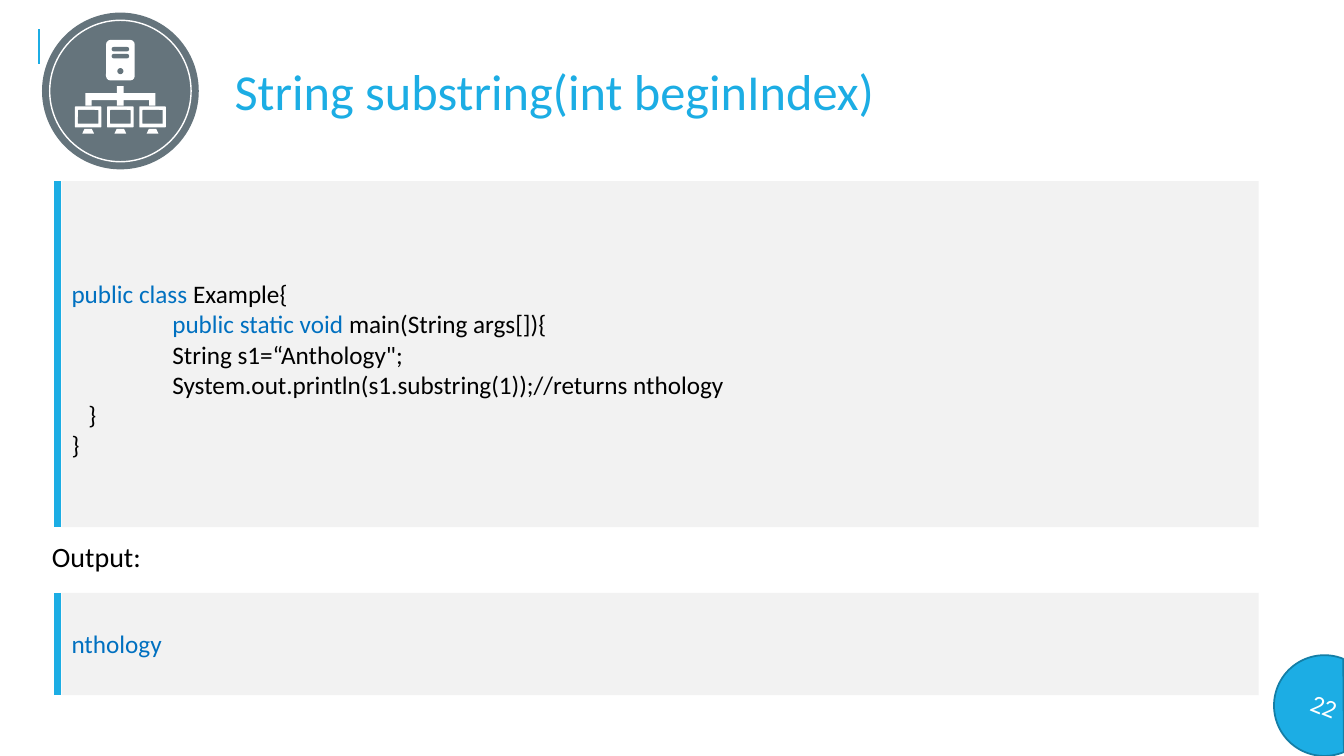
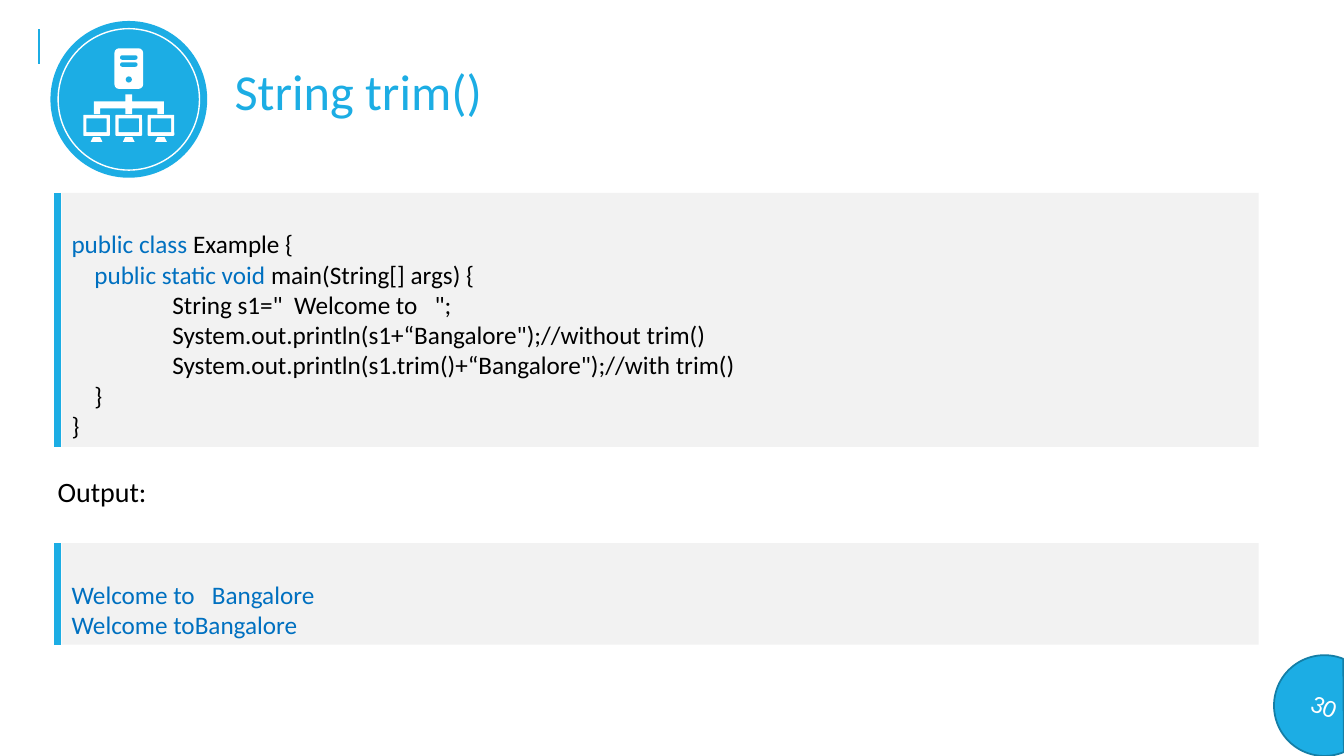
from pptx import Presentation
from pptx import util as u
from pptx.dml.color import RGBColor
from pptx.enum import shapes, text
from pptx.oxml.ns import qn
from lxml import etree

Pt = u.Pt
FONT = "Calibri"
COLORS = {"accent": "1CADE4", "edge": "147EA6", "keyword": "0070C0", "panel": "F2F2F2",
          "gray": "65747C", "white": "FFFFFF", "black": "000000"}
PANEL_LEFT, PANEL_WIDTH, BAR_X = 44, 855, 41
LINE_HEIGHT = 21.97

# Content: panel lines are (indent, keywords, plain code)
SLIDES = [
    {"title": "String substring(int beginIndex)", "number": "22",
     "icon": (30, 9, "gray"), "output_label": (30, 381.5),
     "panels": [
         {"top": 129.5, "height": 247, "lines_above": 3, "lines": [
             (0, "public class ", "Example{"),
             (72, "public static void ", "main(String args[]){"),
             (72, "", "String s1=“Anthology\";"),
             (72, "", "System.out.println(s1.substring(1));//returns nthology"),
             (12, "", "}"),
             (0, "", "}")]},
         {"top": 423.5, "height": 73, "lines_above": 1, "lines": [
             (0, "nthology", "")]}]},
    {"title": "String trim()", "number": "30",
     "icon": (36, 15, "accent"), "output_label": (34, 335.5),
     "panels": [
         {"top": 137.75, "height": 181.5, "lines_above": 1, "lines": [
             (0, "public class ", "Example {"),
             (16.3, "public static void ", "main(String[] args) {"),
             (72, "", "String s1=\"  Welcome to   \";"),
             (72, "", "System.out.println(s1+“Bangalore\");//without trim()"),
             (72, "", "System.out.println(s1.trim()+“Bangalore\");//with trim()"),
             (16.3, "", "}"),
             (0, "", "}")]},
         {"top": 388, "height": 72.5, "lines_above": 1, "lines": [
             (0, "Welcome to   Bangalore", ""),
             (0, "Welcome toBangalore", "")]}]},
]


def rgb(name):
    return RGBColor.from_string(COLORS[name])


def style_run(run, size, color):
    run.font.name, run.font.size = FONT, Pt(size)
    run.font.color.rgb = rgb(color)


def paint(shape, fill, line=None, weight=1):
    shape.shadow.inherit = False
    shape.fill.solid()
    shape.fill.fore_color.rgb = rgb(fill)
    if line:
        shape.line.color.rgb = rgb(line)
        shape.line.width = Pt(weight)
    else:
        shape.line.fill.background()
    return shape


def add_shape(slide, kind, left, top, width, height, fill, line=None, weight=1):
    shape = slide.shapes.add_shape(kind, Pt(left), Pt(top), Pt(width), Pt(height))
    return paint(shape, fill, line, weight)


def add_polygon(slide, points):
    builder = slide.shapes.build_freeform(Pt(points[0][0]), Pt(points[0][1]))
    builder.add_line_segments([(Pt(x), Pt(y)) for x, y in points[1:]], close=True)
    paint(builder.convert_to_shape(), "white")


def add_vertical_line(slide, x, top, bottom, weight):
    line = slide.shapes.add_connector(
        shapes.MSO_CONNECTOR.STRAIGHT, Pt(x), Pt(top), Pt(x), Pt(bottom))
    line.line.color.rgb = rgb("accent")
    line.line.width = Pt(weight)
    etree.SubElement(line._element.spPr, qn("a:effectLst"))


def add_label(slide, content, left, top, width, height, size, color):
    frame = slide.shapes.add_textbox(Pt(left), Pt(top), Pt(width), Pt(height)).text_frame
    frame.word_wrap = True
    frame.text = content
    style_run(frame.paragraphs[0].runs[0], size, color)


def add_panel(slide, top, height, lines_above, lines):
    panel = add_shape(slide, shapes.MSO_SHAPE.RECTANGLE,
                      PANEL_LEFT, top, PANEL_WIDTH, height, "panel")
    frame = panel.text_frame
    frame.word_wrap = True
    frame.vertical_anchor = text.MSO_ANCHOR.TOP
    frame.margin_top = Pt(3.6 + lines_above * LINE_HEIGHT)
    for index, (indent, keywords, code) in enumerate(lines):
        paragraph = frame.paragraphs[0] if index == 0 else frame.add_paragraph()
        paragraph.alignment = text.PP_ALIGN.LEFT
        paragraph._p.get_or_add_pPr().set("marL", str(Pt(indent)))
        for part, color in ((keywords, "keyword"), (code, "black")):
            if part:
                run = paragraph.add_run()
                run.text = part
                style_run(run, 18, color)
    add_vertical_line(slide, BAR_X, top, top + height, 4.5)


def add_network_icon(slide, left, top, color):
    oval, rounded = shapes.MSO_SHAPE.OVAL, shapes.MSO_SHAPE.ROUNDED_RECTANGLE
    center = left + 56
    add_shape(slide, oval, left, top, 112, 112, color)
    add_shape(slide, oval, left + 5.5, top + 5.5, 101, 101, color, "white")

    # Parts centred on an axis: kind, y, width, height, colour, corner
    def centered(axis, kind, y, width, height, fill, corner=None):
        shape = add_shape(slide, kind, axis - width / 2, top + y, width, height, fill)
        if corner is not None:
            shape.adjustments[0] = corner

    # Server
    centered(center, rounded, 19.5, 20.5, 29, "white", 0.16)
    for y in (24.5, 29.5):
        centered(center, rounded, y, 12.5, 3.2, color, 0.5)
    centered(center, oval, 39.6, 4.4, 4.4, color)

    # Cable tree, mirrored about the centre
    half = [(2.4, 52.5), (2.4, 57.5), (25, 57.5), (25, 66.5),
            (20.5, 66.5), (20.5, 62.5), (2.4, 62.5), (2.4, 66.5)]
    add_polygon(slide, [(center + x, top + y) for x, y in half]
                + [(center - x, top + y) for x, y in reversed(half)])

    # Monitors
    for step in (-1, 0, 1):
        axis = center + step * 23
        centered(axis, rounded, 67, 19, 15, "white", 0.04)
        centered(axis, rounded, 69.6, 14.5, 9.8, color, 0.04)
        add_polygon(slide, [(axis + x, top + y) for x, y in
                            ((-2.6, 83), (2.6, 83), (4.2, 86.4), (-4.2, 86.4))])


def add_page_number(slide, number):
    badge = add_shape(slide, shapes.MSO_SHAPE.CHORD, 910, 468, 72, 72, "accent", "edge", 1.25)
    badge.adjustments[0], badge.adjustments[1] = 27, 161.87
    badge.rotation = 22.2
    frame = badge.text_frame
    frame.text = number
    frame.vertical_anchor = text.MSO_ANCHOR.MIDDLE
    frame.paragraphs[0].alignment = text.PP_ALIGN.CENTER
    style_run(frame.paragraphs[0].runs[0], 18, "white")


def main():
    presentation = Presentation()
    presentation.slide_width, presentation.slide_height = Pt(960), Pt(540)
    for content in SLIDES:
        slide = presentation.slides.add_slide(presentation.slide_layouts[6])
        add_vertical_line(slide, 28, 21, 46, 1.5)
        add_label(slide, content["title"], 160.5, 39.5, 739, 51, 36, "accent")
        add_page_number(slide, content["number"])
        add_network_icon(slide, *content["icon"])
        for panel in content["panels"]:
            add_panel(slide, **panel)
        add_label(slide, "Output:", *content["output_label"], 78.5, 31.5, 20, "black")
    presentation.save("out.pptx")


if __name__ == "__main__":
    main()
